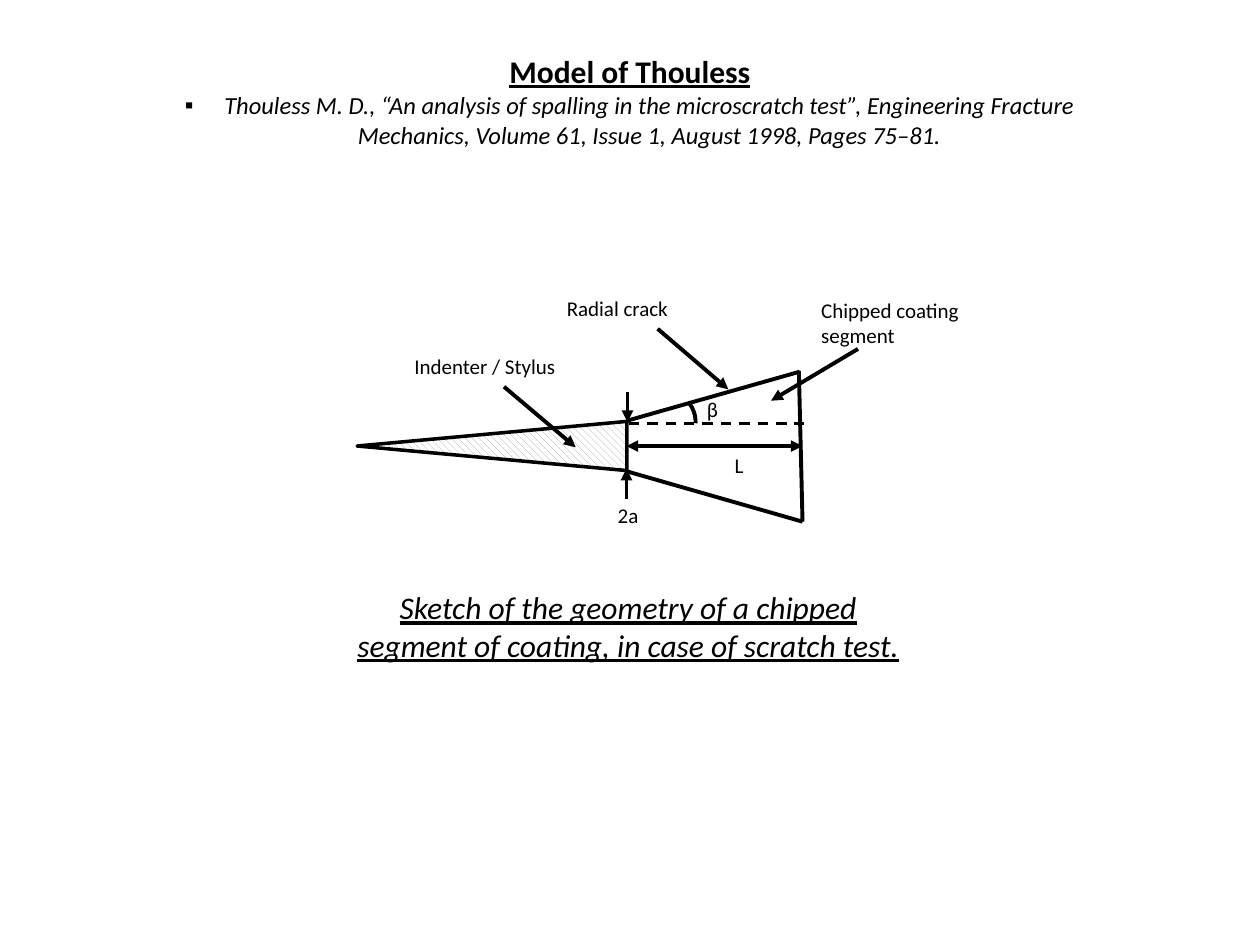
"""Build the slide showing the Thouless model of a chipped coating segment."""
from dataclasses import dataclass

from lxml.etree import SubElement
from pptx import Presentation
from pptx.dml.color import RGBColor
from pptx.enum.dml import MSO_LINE, MSO_PATTERN
from pptx.enum.shapes import MSO_CONNECTOR, MSO_SHAPE
from pptx.enum.text import MSO_ANCHOR, MSO_AUTO_SIZE, PP_ALIGN
from pptx.oxml.ns import qn
from pptx.shapes.autoshape import Shape
from pptx.slide import Slide
from pptx.util import Pt


@dataclass(frozen=True)
class Theme:
    """Colours, font, type sizes and line widths of the slide."""
    ink: RGBColor = RGBColor(0, 0, 0)
    paper: RGBColor = RGBColor(255, 255, 255)
    hatch: RGBColor = RGBColor(0xA6, 0xA6, 0xA6)
    font: str = "Calibri"
    heading: float = 18
    citation: float = 14
    label: float = 12
    stroke: float = 2.25
    outline: float = 2
    thin: float = 1.5


@dataclass(frozen=True)
class Box:
    """A rectangle in points."""
    left: float
    top: float
    width: float
    height: float

    def lengths(self) -> tuple[Pt, Pt, Pt, Pt]:
        """Return the rectangle as lengths."""
        return Pt(self.left), Pt(self.top), Pt(self.width), Pt(self.height)


@dataclass(frozen=True)
class TextStyle:
    """How a block of text looks."""
    size: float
    bold: bool = False
    italic: bool = False
    underline: bool = False
    align: PP_ALIGN = PP_ALIGN.CENTER


@dataclass(frozen=True)
class Label:
    """A text box with its place and style."""
    text: str
    box: Box
    style: TextStyle


@dataclass(frozen=True)
class Segment:
    """A straight line with optional arrowheads."""
    start: tuple[float, float]
    end: tuple[float, float]
    head: bool = False
    tail: bool = False
    dashed: bool = False


THEME = Theme()
CENTERED = TextStyle(THEME.label)
LEFT = TextStyle(THEME.label, align=PP_ALIGN.LEFT)
LABEL_WIDTH, LABEL_HEIGHT = 113, 21.8
NECK = 358
AXIS = 254.9

SEGMENTS = [
    Segment((NECK, 240.5), (457, 212.4)),
    Segment((NECK, 269.3), (458.6, 298.1)),
    Segment((456.5, 212), (458.6, 298.1)),
    Segment((490.3, 199.4), (440.6, 229)),
    Segment((490.3, 199.4), (440.6, 229), tail=True),
    Segment((375.8, 187.9), (416.2, 222.5), tail=True),
    Segment((288, 221), (329, 255.6), tail=True),
    Segment((NECK, AXIS), (458.6, AXIS), head=True, tail=True),
    Segment((358.6, 223.9), (358.6, 241.2), tail=True),
    Segment((NECK, 285.1), (NECK, 267.8), tail=True),
    Segment((359.3, 241.9), (459.4, 241.9), dashed=True),
]
SEGMENTS.pop(3)

LABELS = [
    Label("Chipped coating segment", Box(462.2, 166.3, LABEL_WIDTH, 36), LEFT),
    Label("Radial crack", Box(316.8, 165.6, LABEL_WIDTH, LABEL_HEIGHT), LEFT),
    Label("Indenter / Stylus", Box(229.7, 198.7, LABEL_WIDTH, LABEL_HEIGHT), LEFT),
    Label("L", Box(365.8, 254.9, LABEL_WIDTH, LABEL_HEIGHT), CENTERED),
    Label("β", Box(350.6, 223.2, LABEL_WIDTH, LABEL_HEIGHT), CENTERED),
    Label("2a", Box(302.4, 283.7, LABEL_WIDTH, LABEL_HEIGHT), CENTERED),
    Label("Sketch of the geometry of a chipped segment of coating, in case of scratch test.",
          Box(196.6, 332.6, 324.7, 51), TextStyle(THEME.heading, italic=True, underline=True)),
]


def write_text(shape: Shape, text: str, style: TextStyle) -> None:
    """Fill a shape with one styled paragraph."""
    frame = shape.text_frame
    frame.text = text
    frame.word_wrap = True
    frame.auto_size = MSO_AUTO_SIZE.NONE
    frame.vertical_anchor = MSO_ANCHOR.TOP
    paragraph = frame.paragraphs[0]
    paragraph.alignment = style.align
    paragraph.space_before = Pt(0)
    font = paragraph.font
    font.name, font.size = THEME.font, Pt(style.size)
    font.bold, font.italic, font.underline = style.bold, style.italic, style.underline
    font.color.rgb = THEME.ink


def fill_placeholder(shape: Shape, label: Label) -> None:
    """Move a template placeholder and write its text."""
    shape.left, shape.top, shape.width, shape.height = label.box.lengths()
    write_text(shape, label.text, label.style)


def add_label(slide: Slide, label: Label) -> None:
    """Add a text box."""
    write_text(slide.shapes.add_textbox(*label.box.lengths()), label.text, label.style)


def set_bullet(shape: Shape, character: str, indent: float) -> None:
    """Give the first paragraph a hanging bullet."""
    properties = shape.text_frame.paragraphs[0]._p.get_or_add_pPr()
    properties.set("marL", str(Pt(indent)))
    properties.set("indent", str(-Pt(indent)))
    bullet = SubElement(properties, qn("a:buChar"), char=character)
    properties.find(qn("a:defRPr")).addprevious(bullet)


def add_segment(slide: Slide, segment: Segment) -> None:
    """Draw a line, dashed or with arrowheads as asked."""
    points = (Pt(value) for value in segment.start + segment.end)
    connector = slide.shapes.add_connector(MSO_CONNECTOR.STRAIGHT, *points)
    line = connector.line
    line.color.rgb = THEME.ink
    line.width = Pt(THEME.thin if segment.dashed else THEME.stroke)
    if segment.dashed:
        line.dash_style = MSO_LINE.DASH
    for wanted, tag in ((segment.head, "a:headEnd"), (segment.tail, "a:tailEnd")):
        if wanted:
            SubElement(line._get_or_add_ln(), qn(tag), type="triangle")
    SubElement(connector._element.spPr, qn("a:effectLst"))


def add_outline(slide: Slide, kind: MSO_SHAPE, box: Box, width: float) -> Shape:
    """Add a preset shape with a plain outline."""
    shape = slide.shapes.add_shape(kind, *box.lengths())
    shape.shadow.inherit = False
    shape.fill.background()
    shape.line.color.rgb = THEME.ink
    shape.line.width = Pt(width)
    return shape


def add_indenter(slide: Slide) -> None:
    """Draw the hatched indenter pointing left."""
    indenter = add_outline(slide, MSO_SHAPE.ISOSCELES_TRIANGLE,
                           Box(267.1, 177.8, 28.1, 154.1), THEME.outline)
    indenter.rotation = 270
    indenter.fill.patterned()
    indenter.fill.pattern = MSO_PATTERN.WIDE_DOWNWARD_DIAGONAL
    indenter.fill.fore_color.rgb = THEME.hatch
    indenter.fill.back_color.rgb = THEME.paper


def add_angle(slide: Slide) -> None:
    """Draw the arc that marks the crack angle."""
    arc = add_outline(slide, MSO_SHAPE.ARC, Box(366.5, 224.6, 31, 33.1), THEME.stroke)
    arc.adjustments[0], arc.adjustments[1] = 188.72, 1.64


def main() -> None:
    """Build and save the presentation."""
    presentation = Presentation()
    presentation.slide_width, presentation.slide_height = Pt(720), Pt(540)
    slide = presentation.slides.add_slide(presentation.slide_layouts[1])
    title, citation = slide.placeholders
    fill_placeholder(title, Label("Model of Thouless", Box(97.2, 25.9, 525.6, 26),
                                  TextStyle(THEME.heading, bold=True, underline=True)))
    fill_placeholder(citation, Label(
        "Thouless M. D., “An analysis of spalling in the microscratch test”, "
        "Engineering Fracture Mechanics, Volume 61, Issue 1, August 1998, Pages 75–81.",
        Box(97.2, 47.9, 525.6, 41.4), TextStyle(THEME.citation, italic=True)))
    set_bullet(citation, "▪", 22.5)
    add_indenter(slide)
    add_angle(slide)
    for segment in SEGMENTS:
        add_segment(slide, segment)
    for label in LABELS:
        add_label(slide, label)
    presentation.save("out.pptx")


main()
